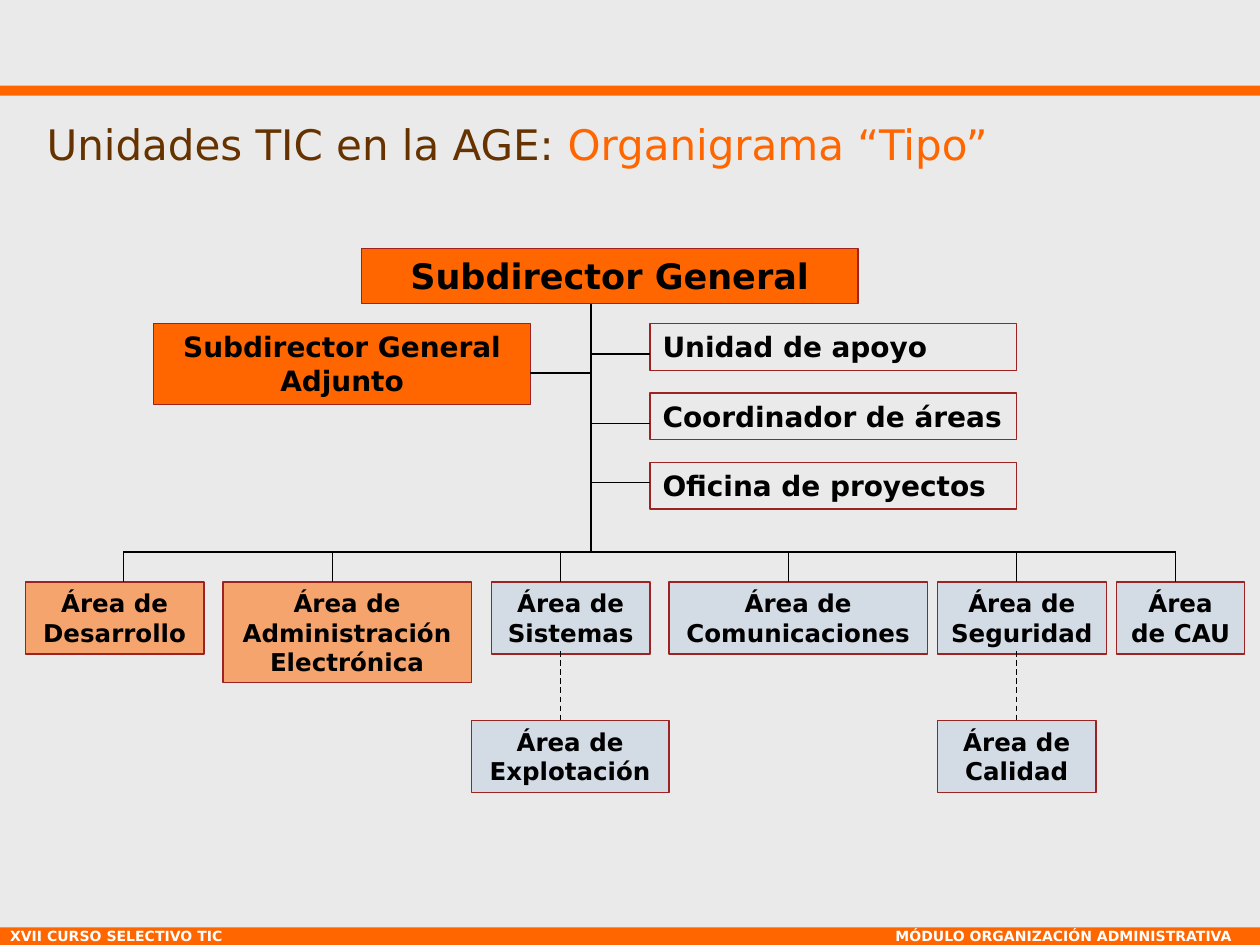
"""Build an organisation chart slide for ICT units."""
from lxml import etree
from pptx import Presentation
from pptx.dml.color import RGBColor
from pptx.enum.dml import MSO_LINE
from pptx.enum.shapes import MSO_CONNECTOR, MSO_SHAPE
from pptx.enum.text import MSO_ANCHOR, MSO_AUTO_SIZE, PP_ALIGN
from pptx.oxml.ns import qn
from pptx.util import Inches, Pt

RECT, STRAIGHT, DASH = MSO_SHAPE.RECTANGLE, MSO_CONNECTOR.STRAIGHT, MSO_LINE.DASH
LEFT, CENTER = PP_ALIGN.LEFT, PP_ALIGN.CENTER
TOP, MIDDLE = MSO_ANCHOR.TOP, MSO_ANCHOR.MIDDLE
FIT, NO_FIT = MSO_AUTO_SIZE.SHAPE_TO_FIT_TEXT, MSO_AUTO_SIZE.NONE
COLORS = {"bg": "EAEAEA", "orange": "FF6600", "brown": "663300", "blue": "BECEE0",
          "border": "9D2323", "black": "000000", "white": "FFFFFF"}
FONT = "DejaVu Sans"
TRUNK_X, BUS_Y, AREA_Y, SUB_Y = 4.69, 4.38, 4.62, 5.72


def rgb(name):
    return RGBColor.from_string(COLORS[name])


class Deck:
    """Hold the style and the current slide."""

    def __init__(self, prs):
        self.s = prs.slides.add_slide(prs.slide_layouts[5])
        fill = self.s.background.fill
        fill.solid()
        fill.fore_color.rgb = rgb("bg")

    def run(self, p, text, size, color, bold=False):
        r = p.add_run()
        r.text = text
        for name, value in {"name": FONT, "size": Pt(size), "bold": bold}.items():
            setattr(r.font, name, value)
        r.font.color.rgb = rgb(color)

    def title(self, parts):
        sp = self.s.shapes.title
        box = {"left": 0.27, "top": 0.84, "width": 9.06, "height": 0.6}
        for name, value in box.items():
            setattr(sp, name, Inches(value))
        tf = sp.text_frame
        tf.vertical_anchor, tf.auto_size = MIDDLE, NO_FIT
        p = tf.paragraphs[0]
        p.alignment = LEFT
        for text, color in parts:
            self.run(p, text, 24, color)

    def rect(self, x, y, w, h, fill=None, alpha=None, line=None):
        sp = self.s.shapes.add_shape(RECT, Inches(x), Inches(y), Inches(w), Inches(h))
        sp.shadow.inherit = False
        if fill:
            sp.fill.solid()
            sp.fill.fore_color.rgb = rgb(fill)
        else:
            sp.fill.background()
        if alpha:
            clr = sp.fill._xPr.find(".//" + qn("a:srgbClr"))
            etree.SubElement(clr, qn("a:alpha"), val=str(alpha * 1000))
        if line:
            sp.line.color.rgb = rgb(line)
            sp.line.width = Pt(0.75)
        else:
            sp.line.fill.background()
        return sp

    def box(self, text, x, y, w, h, size=14, fill=None, alpha=None, align=CENTER):
        sp = self.rect(x, y, w, h, fill, alpha, "border")
        tf = sp.text_frame
        for name, value in {"word_wrap": True, "vertical_anchor": TOP,
                            "auto_size": FIT}.items():
            setattr(tf, name, value)
        p = tf.paragraphs[0]
        p.alignment = align
        self.run(p, text, size, "black", True)
        return sp

    def footer(self, left, right):
        tf = self.rect(0, 7.36, 10, 0.14, "orange").text_frame
        margins = {"margin_left": 0.08, "margin_right": 0.1,
                   "margin_top": 0, "margin_bottom": 0}
        for name, value in margins.items():
            setattr(tf, name, Inches(value))
        tf.vertical_anchor = MIDDLE
        p = tf.paragraphs[0]
        p.alignment = LEFT
        tabs = etree.SubElement(p._p.get_or_add_pPr(), qn("a:tabLst"))
        etree.SubElement(tabs, qn("a:tab"), pos=str(Inches(9.7)), algn="r")
        self.run(p, f"{left}\t{right}", 8, "white", True)

    def line(self, x1, y1, x2, y2, dash=None):
        c = self.s.shapes.add_connector(STRAIGHT, Inches(x1), Inches(y1),
                                        Inches(x2), Inches(y2))
        c.line.color.rgb = rgb("black")
        c.line.width = Pt(0.75)
        if dash:
            c.line.dash_style = dash
        etree.SubElement(c._element.spPr, qn("a:effectLst"))
        return c


def main():
    prs = Presentation()
    prs.slide_width, prs.slide_height = Inches(10), Inches(7.5)
    deck = Deck(prs)
    deck.footer("XVII CURSO SELECTIVO TIC", "MÓDULO ORGANIZACIÓN ADMINISTRATIVA")
    deck.rect(0, 0.68, 10, 0.08, "orange")
    deck.title([("Unidades TIC en la AGE: ", "brown"), ("Organigrama “Tipo”", "orange")])

    deck.box("Subdirector General", 2.87, 1.97, 3.94, 0.44, 20, "orange")
    deck.box("Subdirector General Adjunto", 1.22, 2.57, 2.99, 0.64, 16, "orange")
    deck.line(TRUNK_X, 2.41, TRUNK_X, BUS_Y)
    deck.line(4.21, 2.96, TRUNK_X, 2.96)

    staff = [("Unidad de apoyo", 2.81), ("Coordinador de áreas", 3.36),
             ("Oficina de proyectos", 3.83)]
    for i, (text, y) in enumerate(staff):
        deck.box(text, 5.16, 2.57 + 0.55 * i, 2.91, 0.37, 16, align=LEFT)
        deck.line(5.16, y, TRUNK_X, y)

    areas = [("Desarrollo", 0.2, 1.42, 0.57, "orange", 53, 0.98),
             ("Administración Electrónica", 1.77, 1.97, 0.8, "orange", 53, 2.64),
             ("Sistemas", 3.9, 1.26, 0.57, "blue", 52, 4.45),
             ("Comunicaciones", 5.31, 2.05, 0.57, "blue", 52, 6.26),
             ("Seguridad", 7.44, 1.34, 0.57, "blue", 52, 8.07),
             ("CAU", 8.86, 1.02, 0.57, "blue", 52, 9.33)]
    deck.line(areas[0][-1], BUS_Y, areas[-1][-1], BUS_Y)
    for name, x, w, h, fill, alpha, drop_x in areas:
        deck.box(f"Área de {name}", x, AREA_Y, w, h, 14, fill, alpha)
        deck.line(drop_x, BUS_Y, drop_x, AREA_Y)

    deck.box("Área de Explotación", 3.74, SUB_Y, 1.57, 0.57, 14, "blue", 52)
    deck.line(4.45, 5.17, 4.45, SUB_Y, DASH)
    quality = deck.box("Área de Calidad", 7.44, SUB_Y, 1.26, 0.57, 14, "blue", 52)
    deck.line(8.07, 5.17, 8.07, SUB_Y, DASH).end_connect(quality, 0)
    prs.save("out.pptx")


if __name__ == "__main__":
    main()
